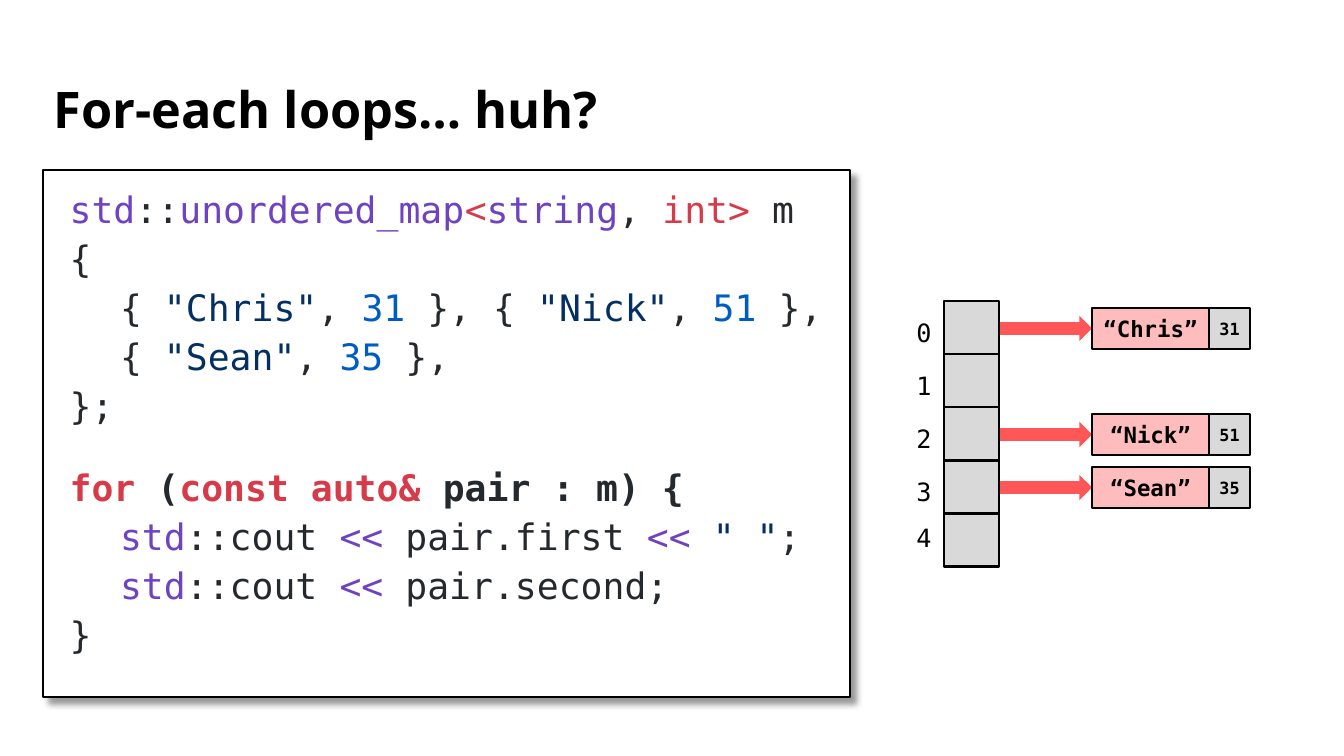
from dataclasses import dataclass

from lxml.etree import SubElement
from pptx import Presentation
from pptx.dml.color import RGBColor as RGB
from pptx.enum.shapes import MSO_SHAPE as SHAPE
from pptx.enum.text import MSO_ANCHOR as ANCHOR, MSO_AUTO_SIZE as AUTO, PP_ALIGN as ALIGN
from pptx.oxml.ns import qn
from pptx.util import Inches, Pt

WIDTH, HEIGHT = 13.33, 7.5


@dataclass(frozen=True)
class Theme:
    title_font: str = "Open Sans"
    code_font: str = "DejaVu Sans Mono"
    title_size: int = 36
    code_size: int = 26
    index_size: int = 18
    key_size: int = 16
    value_size: int = 12
    line_width: float = 1.5
    black: str = "000000"
    white: str = "FFFFFF"
    plain: str = "24292E"
    type_name: str = "6F42C1"
    keyword: str = "D73A49"
    string: str = "032F62"
    number: str = "005CC5"
    cell: str = "D9D9D9"
    key: str = "FFBCBC"
    arrow: str = "FF5757"


@dataclass(frozen=True)
class Box:
    """A region in inches."""
    x: float
    y: float
    w: float
    h: float

    def share(self, x, y, w, h):
        """Sub-box given as percentages of this box."""
        return Box(self.x + self.w * x / 100, self.y + self.h * y / 100,
                   self.w * w / 100, self.h * h / 100)

    def emu(self):
        return [Inches(v) for v in (self.x, self.y, self.w, self.h)]


T = Theme()
SLIDE = Box(0, 0, WIDTH, HEIGHT)

# Each code line: indent level, space before, bold, coloured tokens
STD = [("std", T.type_name), ("::cout ", T.plain), ("<< ", T.type_name)]


def entry(name, value, end):
    return [("{ ", T.plain), (f'"{name}"', T.string), (", ", T.plain),
            (value, T.number), (end, T.plain)]


CODE = [
    (0, 0, False, [("std", T.type_name), ("::", T.plain),
                   ("unordered_map", T.type_name), ("<", T.keyword),
                   ("string", T.type_name), (", ", T.plain),
                   ("int>", T.keyword), (" m", T.plain)]),
    (0, 10, False, [("{", T.plain)]),
    (1, 10, False, entry("Chris", "31", " }, ") + entry("Nick", "51", " },")),
    (1, 10, False, entry("Sean", "35", " },")),
    (0, 10, False, [("};", T.plain)]),
    (0, 34, True, [("for", T.keyword), (" (", T.plain),
                   ("const auto&", T.keyword), (" pair : m) {", T.plain)]),
    (1, 10, False, STD + [("pair.first ", T.plain), ("<< ", T.type_name),
                          ('" "', T.string), (";", T.plain)]),
    (1, 10, False, STD + [("pair.second;", T.plain)]),
    (0, 10, False, [("}", T.plain)]),
]

# Bucket index -> stored pair
ENTRIES = {0: ("“Chris”", "31"), 2: ("“Nick”", "51"), 3: ("“Sean”", "35")}
# Label offset below each bucket's top, in percent of a row
LABEL_OFFSETS = (21, 21, 21, 21, 8)


def style(font, name, size, color, bold=False):
    font.name, font.size, font.bold = name, Pt(size), bold
    font.color.rgb = RGB.from_string(color)


def add_block(shapes, box, fill, kind=SHAPE.RECTANGLE, outlined=True):
    s = shapes.add_shape(kind, *box.emu())
    s.shadow.inherit = False
    s.fill.solid()
    s.fill.fore_color.rgb = RGB.from_string(fill)
    if outlined:
        s.line.color.rgb = RGB.from_string(T.black)
        s.line.width = Pt(T.line_width)
    else:
        s.line.fill.background()
    return s


def add_drop_shadow(s):
    effects = s._element.spPr.find(qn("a:effectLst"))
    shadow = SubElement(effects, qn("a:outerShdw"), blurRad=str(Pt(4)),
                        dist=str(Pt(6)), dir="2700000", algn="tl", rotWithShape="0")
    color = SubElement(shadow, qn("a:srgbClr"), val=T.black)
    SubElement(color, qn("a:alpha"), val="40000")


def fill_title(title, box):
    title.left, title.top, title.width, title.height = box.emu()
    tf = title.text_frame
    tf.text = "For-each loops… huh?"
    tf.auto_size, tf.vertical_anchor = AUTO.NONE, ANCHOR.MIDDLE
    p = tf.paragraphs[0]
    p.alignment, p.line_spacing = ALIGN.LEFT, 0.9
    style(p.runs[0].font, T.title_font, T.title_size, T.black, True)


def add_code(shapes, box):
    s = add_block(shapes, box, T.white)
    add_drop_shadow(s)
    tf = s.text_frame
    tf.word_wrap, tf.vertical_anchor = True, ANCHOR.TOP
    tf.margin_left = tf.margin_right = tf.margin_top = tf.margin_bottom = Inches(0.25)
    for i, (level, before, bold, tokens) in enumerate(CODE):
        p = tf.add_paragraph() if i else tf.paragraphs[0]
        p.alignment, p.line_spacing, p.space_before = ALIGN.LEFT, 0.8, Pt(before)
        p._p.get_or_add_pPr().set("marL", str(Inches(0.01 + 0.5 * level)))
        for text, color in tokens:
            r = p.add_run()
            r.text = text
            style(r.font, T.code_font, T.code_size, color, bold)


def add_index(shapes, box, text):
    tf = shapes.add_textbox(*box.emu()).text_frame
    tf.text = text
    tf.word_wrap = False
    style(tf.paragraphs[0].runs[0].font, T.code_font, T.index_size, T.black)


def add_cell(shapes, box, fill, text, size):
    tf = add_block(shapes, box, fill).text_frame
    tf.text = text
    tf.word_wrap, tf.vertical_anchor = False, ANCHOR.MIDDLE
    p = tf.paragraphs[0]
    p.alignment = ALIGN.CENTER
    style(p.runs[0].font, T.code_font, size, T.black, True)


def add_hash_table(shapes, box):
    group = shapes.add_group_shape().shapes
    count = len(LABEL_OFFSETS)
    rows = [box.share(0, 100 * i / count, 100, 100 / count) for i in range(count)]
    # Arrows start behind the buckets
    for i in ENTRIES:
        add_block(group, rows[i].share(19, 27, 35, 48), T.arrow, SHAPE.RIGHT_ARROW, False)
    # Buckets and their indexes
    for i, (row, offset) in enumerate(zip(rows, LABEL_OFFSETS)):
        add_index(group, row.share(0, offset, 7, 57), str(i))
        add_block(group, row.share(11, 0, 16, 100), T.cell)
    # Stored pairs
    for i, (key, value) in ENTRIES.items():
        add_cell(group, rows[i].share(54, 13, 34, 76), T.key, key, T.key_size)
        add_cell(group, rows[i].share(88, 13, 12, 76), T.cell, value, T.value_size)


def main():
    prs = Presentation()
    prs.slide_width, prs.slide_height = Inches(WIDTH), Inches(HEIGHT)
    slide = prs.slides.add_slide(prs.slide_layouts[5])
    fill_title(slide.shapes.title, SLIDE.share(3.23, 9.2, 93.55, 11.2))
    add_code(slide.shapes, SLIDE.share(3.23, 22.53, 60, 69.73))
    add_hash_table(slide.shapes, SLIDE.share(67.44, 39.87, 25.58, 35.07))
    prs.save("out.pptx")


if __name__ == "__main__":
    main()
